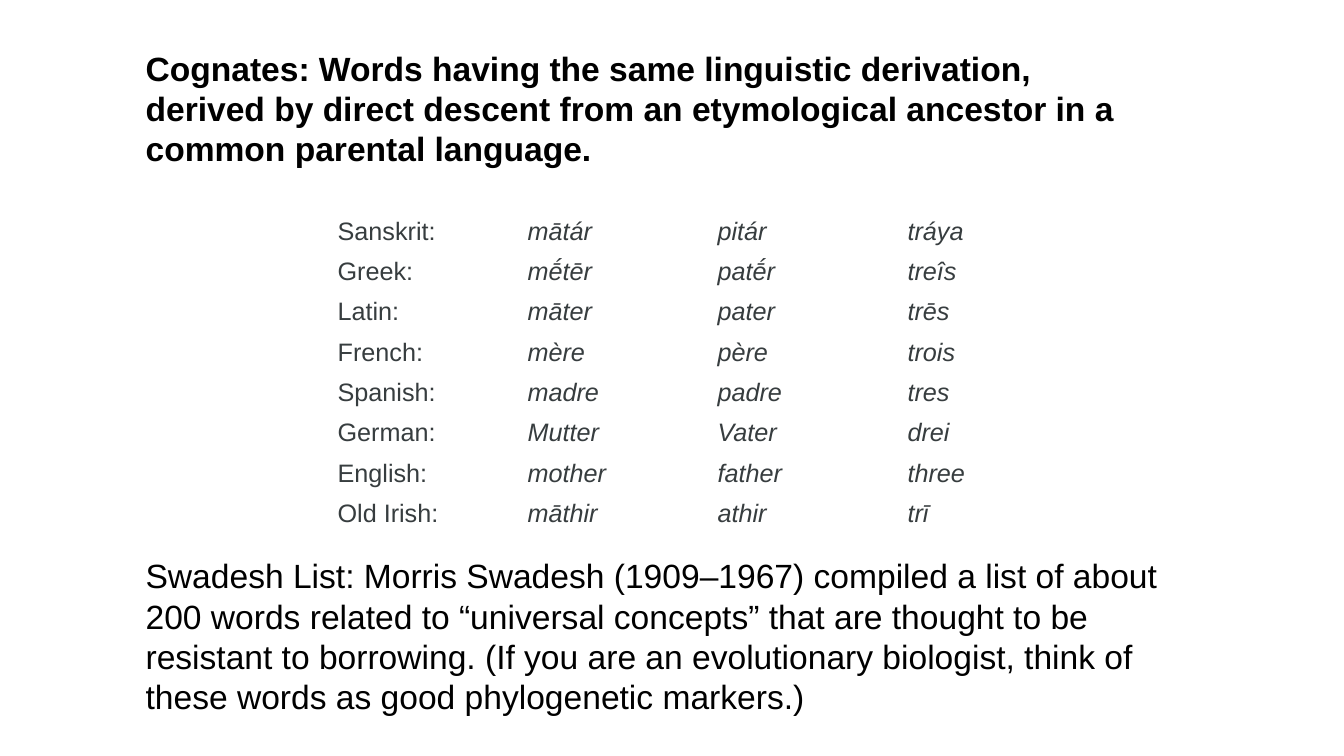
import pptx
import pptx.util
import pptx.dml.color
import pptx.enum.text
from pptx.util import Inches

COLORS = {"text": "000000", "word": "373D3F", "back": "FFFFFF"}
MIDDLE = pptx.enum.text.MSO_ANCHOR.MIDDLE

COGNATES = [
    ("Sanskrit:", "mātár", "pitár", "tráya"),
    ("Greek:", "mḗtēr", "patḗr", "treîs"),
    ("Latin:", "māter", "pater", "trēs"),
    ("French:", "mère", "père", "trois"),
    ("Spanish:", "madre", "padre", "tres"),
    ("German:", "Mutter", "Vater", "drei"),
    ("English:", "mother", "father", "three"),
    ("Old Irish:", "māthir", "athir", "trī"),
]

TITLE = (
    "Cognates: Words having the same linguistic derivation, derived by direct "
    "descent from an etymological ancestor in a common parental language."
)
SWADESH = (
    "Swadesh List: Morris Swadesh (1909–1967) compiled a list of about 200 words "
    "related to “universal concepts” that are thought to be resistant to borrowing. "
    "(If you are an evolutionary biologist, think of these words as good "
    "phylogenetic markers.)"
)


class Page:
    face = "Arial"

    def __init__(self, slide):
        self.slide = slide

    def color(self, name):
        return pptx.dml.color.RGBColor.from_string(COLORS[name])

    def label(self, frame, text, size, color, bold=False, italic=False):
        para = frame.paragraphs[0]
        para.text = text
        font = para.font
        font.name = self.face
        font.size = pptx.util.Pt(size)
        font.bold = bold
        font.italic = italic
        font.color.rgb = self.color(color)

    def pad(self, item, inset):
        item.margin_left = item.margin_right = Inches(inset)
        item.margin_top = item.margin_bottom = Inches(inset)
        item.vertical_anchor = MIDDLE

    def text(self, text, left, top, width, height, bold=False):
        box = self.slide.shapes.add_textbox(
            Inches(left), Inches(top), Inches(width), Inches(height)
        )
        frame = box.text_frame
        frame.word_wrap = True
        frame.auto_size = pptx.enum.text.MSO_AUTO_SIZE.SHAPE_TO_FIT_TEXT
        self.pad(frame, 0.06)
        self.label(frame, text, 48, "text", bold=bold)

    def table(self, data, left, top, width, height):
        rows, cols = len(data), len(data[0])
        table = self.slide.shapes.add_table(
            rows, cols, Inches(left), Inches(top),
            Inches(width * cols), Inches(height * rows),
        ).table
        table.first_row = False
        table.horz_banding = False
        for row, words in zip(table.rows, data):
            for col, (cell, word) in enumerate(zip(row.cells, words)):
                cell.fill.solid()
                cell.fill.fore_color.rgb = self.color("back")
                self.pad(cell, 0.1)
                self.label(cell.text_frame, word, 36, "word", italic=col > 0)


def main():
    deck = pptx.Presentation()
    deck.slide_width = Inches(26.67)
    deck.slide_height = Inches(15)
    page = Page(deck.slides.add_slide(deck.slide_layouts[6]))
    page.text(TITLE, 2.83, 0.89, 20.23, 2.51, bold=True)
    page.table(COGNATES, 6.6, 4.19, 3.77, 0.8)
    page.text(SWADESH, 2.83, 10.99, 20.23, 3.26)
    deck.save("out.pptx")


if __name__ == "__main__":
    main()
